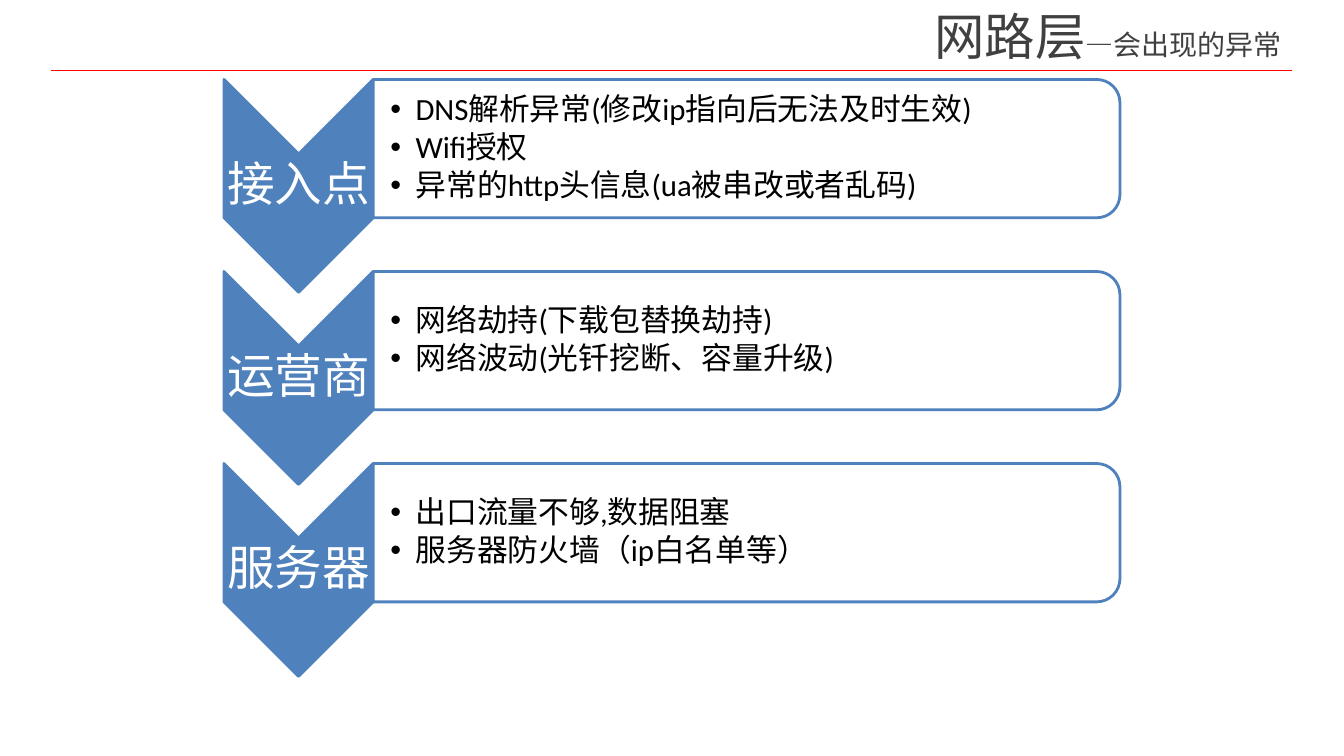
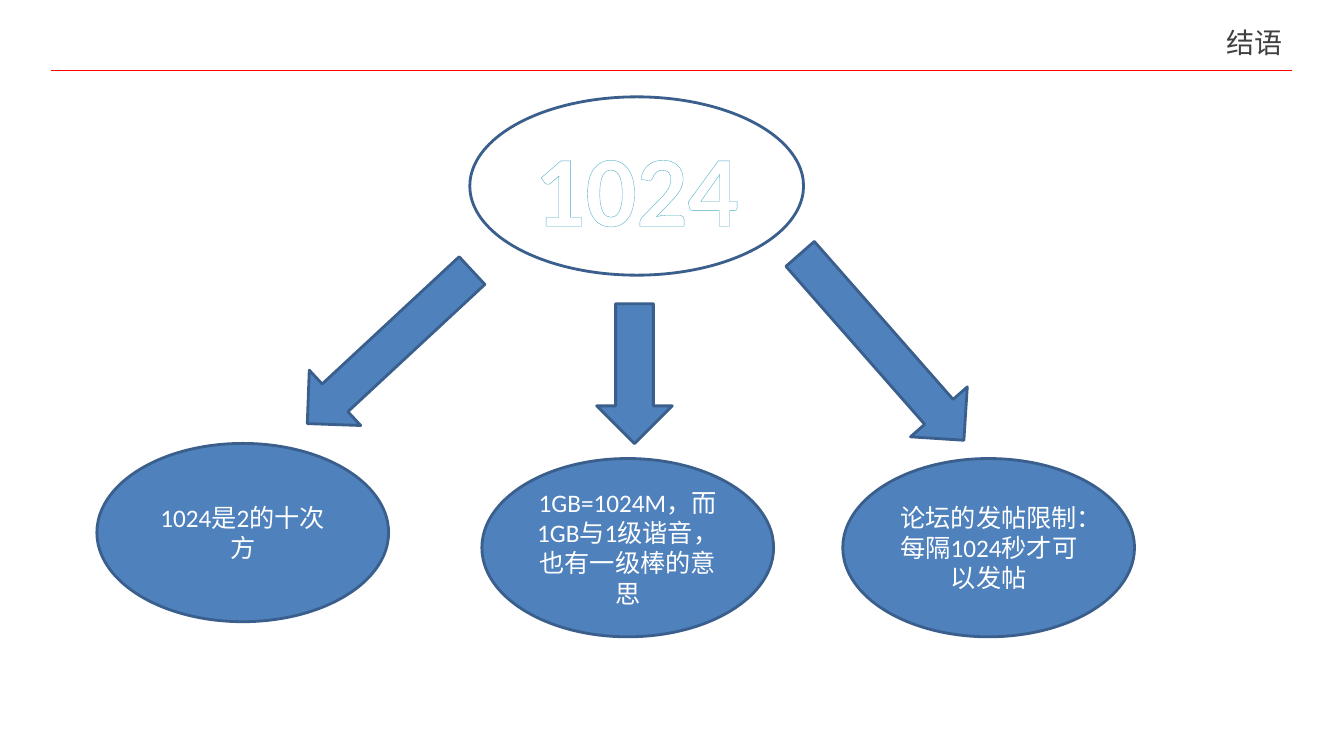
"""Builds two slides on network layer faults and the number 1024."""
from math import cos, pi, sin

from lxml import etree
from pptx import Presentation
from pptx.dml.color import RGBColor
from pptx.enum.shapes import MSO_CONNECTOR, MSO_SHAPE
from pptx.enum.text import MSO_ANCHOR, MSO_AUTO_SIZE, PP_ALIGN
from pptx.oxml.ns import qn
from pptx.util import Inches, Pt

ELLIPSE, ARROW = MSO_SHAPE.OVAL, MSO_SHAPE.RIGHT_ARROW
STRAIGHT = MSO_CONNECTOR.STRAIGHT
MIDDLE, BOTTOM = MSO_ANCHOR.MIDDLE, MSO_ANCHOR.BOTTOM
LEFT, CENTER, RIGHT = PP_ALIGN.LEFT, PP_ALIGN.CENTER, PP_ALIGN.RIGHT
NO_FIT = MSO_AUTO_SIZE.NONE

BLUE = RGBColor(0x4F, 0x81, 0xBD)
NAVY = RGBColor(0x3A, 0x5F, 0x8C)
AQUA = RGBColor(0x4B, 0xAC, 0xC6)
RED = RGBColor(0xFF, 0x00, 0x00)
GRAY = RGBColor(0x40, 0x40, 0x40)
BLACK = RGBColor(0x00, 0x00, 0x00)
WHITE = RGBColor(0xFF, 0xFF, 0xFF)

BODY_FONT, TITLE_FONT = "Calibri", "Noto Sans CJK SC"
COLUMNS = 48
TITLE_ONLY = 5


def write(paragraph, text, size=18, color=WHITE, font=BODY_FONT, bold=False,
          align=CENTER, spacing=None, after=None, bullet=False, outline=None):
    """Add a formatted run to a paragraph."""
    paragraph.alignment = align
    if spacing:
        paragraph.line_spacing = spacing
    if after:
        paragraph.space_after = Pt(after)
    if bullet:
        props = paragraph._p.get_or_add_pPr()
        indent = Inches(0.25)
        props.set("marL", str(indent))
        props.set("indent", str(-indent))
        etree.SubElement(props, qn("a:buFont"), typeface="Arial")
        etree.SubElement(props, qn("a:buChar"), char="•")
    run = paragraph.add_run()
    run.text = text
    run.font.size, run.font.bold, run.font.name = Pt(size), bold, font
    run.font.color.rgb = color
    props = run._r.get_or_add_rPr()
    etree.SubElement(props, qn("a:ea"), typeface=font)
    if outline:
        line = etree.Element(qn("a:ln"), w=str(Pt(0.8)))
        fill = etree.SubElement(line, qn("a:solidFill"))
        etree.SubElement(fill, qn("a:srgbClr"), val=str(outline))
        props.insert(0, line)


class Deck:
    """Holds the presentation, its grid and the current slide."""

    def __init__(self):
        """Set up a widescreen presentation."""
        self.deck = Presentation()
        self.deck.slide_width, self.deck.slide_height = Inches(13.33), Inches(7.5)
        self.unit = self.deck.slide_width / COLUMNS
        self.slide = None

    def grid(self, *cells):
        """Turn grid units into lengths."""
        return [round(cell * self.unit) for cell in cells]

    def new_slide(self, title_bottom, *title_parts):
        """Start a slide with its red rule and right-aligned title."""
        self.slide = self.deck.slides.add_slide(self.deck.slide_layouts[TITLE_ONLY])
        rule = self.slide.shapes.add_connector(STRAIGHT, *self.grid(1.84, 2.5, 46.15, 2.5))
        rule.line.color.rgb, rule.line.width = RED, Pt(0.25)
        etree.SubElement(rule._element.spPr, qn("a:effectLst"))
        title = self.slide.shapes.title
        title.left, title.top, title.width, title.height = self.grid(
            12, title_bottom - 1.7, 34.15, 1.7)
        frame = title.text_frame
        frame.auto_size, frame.vertical_anchor = NO_FIT, BOTTOM
        for text, size in title_parts:
            write(frame.paragraphs[0], text, size=size, color=GRAY,
                  font=TITLE_FONT, align=RIGHT)

    def style(self, shape, fill=BLUE, line=NAVY):
        """Give a shape its fill and outline without a shadow."""
        shape.shadow.inherit = False
        if fill is None:
            shape.fill.background()
        else:
            shape.fill.solid()
            shape.fill.fore_color.rgb = fill
        shape.line.color.rgb, shape.line.width = line, Pt(2)
        return shape

    def fill_text(self, shape, lines, insets=(0.1, 0.05, 0.1, 0.05), **format):
        """Write lines into a shape, centred vertically."""
        frame = shape.text_frame
        frame.word_wrap, frame.vertical_anchor = True, MIDDLE
        (frame.margin_left, frame.margin_top,
         frame.margin_right, frame.margin_bottom) = map(Inches, insets)
        for index, text in enumerate(lines):
            paragraph = frame.add_paragraph() if index else frame.paragraphs[0]
            write(paragraph, text, **format)

    def outline(self, points, fill):
        """Draw a closed outline through grid points."""
        start, *others = [self.grid(*point) for point in points]
        builder = self.slide.shapes.build_freeform(*start)
        builder.add_line_segments(others, close=True)
        return self.style(builder.convert_to_shape(), fill, BLUE)

    def chevron(self, left, top, width, height, text):
        """Draw a labelled chevron pointing down."""
        middle, right, tip = left + width / 2, left + width, width / 2
        shape = self.outline([
            (right, top), (right, top + height), (middle, top + height + tip),
            (left, top + height), (left, top), (middle, top + tip)], BLUE)
        self.fill_text(shape, [text], insets=(0.02, 0.76, 0.02, 0.76),
                       size=34, spacing=0.9)

    def panel(self, left, top, width, height, items, radius=0.83, steps=8):
        """Draw a bulleted panel rounded on its right side."""
        right, bottom = left + width, top + height
        angles = [pi / 2 * step / steps for step in range(steps + 1)]
        upper = [(right - radius + radius * sin(angle), top + radius - radius * cos(angle))
                 for angle in angles]
        lower = [(x, top + bottom - y) for x, y in reversed(upper)]
        shape = self.outline([(left, top), *upper, *lower, (left, bottom)], WHITE)
        self.fill_text(shape, items, insets=(0.17, 0.08, 0.08, 0.08), size=22,
                       color=BLACK, align=LEFT, spacing=0.9, after=3.3, bullet=True)

    def ellipse(self, left, top, width, text, fill=BLUE, **format):
        """Draw an ellipse with centred text."""
        shape = self.slide.shapes.add_shape(ELLIPSE, *self.grid(left, top, width, 6.37))
        self.fill_text(self.style(shape, fill), [text], **format)

    def arrow(self, left, top, length, angle):
        """Draw a block arrow turned by an angle."""
        shape = self.slide.shapes.add_shape(ARROW, *self.grid(left, top, length, 2.7))
        self.style(shape).rotation = angle


def network_slide(deck):
    """Faults by network stage."""
    deck.new_slide(2.52, ("网路层", 36), ("—会出现的异常", 20))
    stages = [
        ("接入点", ["DNS解析异常(修改ip指向后无法及时生效)", "Wifi授权",
                 "异常的http头信息(ua被串改或者乱码)"]),
        ("运营商", ["网络劫持(下载包替换劫持)", "网络波动(光钎挖断、容量升级)"]),
        ("服务器", ["出口流量不够,数据阻塞", "服务器防火墙（ip白名单等）"]),
    ]
    for row, (stage, faults) in enumerate(stages):
        top = 2.84 + row * 6.86
        deck.chevron(8, top, 5.33, 4.94, stage)
        deck.panel(13.33, top, 26.67, 4.94, faults)


def closing_slide(deck):
    """Meanings of 1024."""
    deck.new_slide(2.3, ("结语", 20))
    deck.ellipse(16.78, 3.46, 11.92, "1024", fill=None, size=72, bold=True, outline=AQUA)
    meanings = [
        (3.46, 15.84, "1024是2的十次方"),
        (17.21, 16.38, "1GB=1024M，而1GB与1级谐音，也有一级棒的意思"),
        (30.1, 16.38, "论坛的发帖限制：每隔1024秒才可以发帖"),
    ]
    for left, top, meaning in meanings:
        deck.ellipse(left, top, 10.42, meaning)
    for arrow in [(9.9, 11.05, 8.03, 137.1), (20.16, 12, 5, 90), (27.07, 11.05, 8.86, 48.7)]:
        deck.arrow(*arrow)


def main():
    """Build and save the slides."""
    deck = Deck()
    network_slide(deck)
    closing_slide(deck)
    deck.deck.save("out.pptx")


if __name__ == "__main__":
    main()
